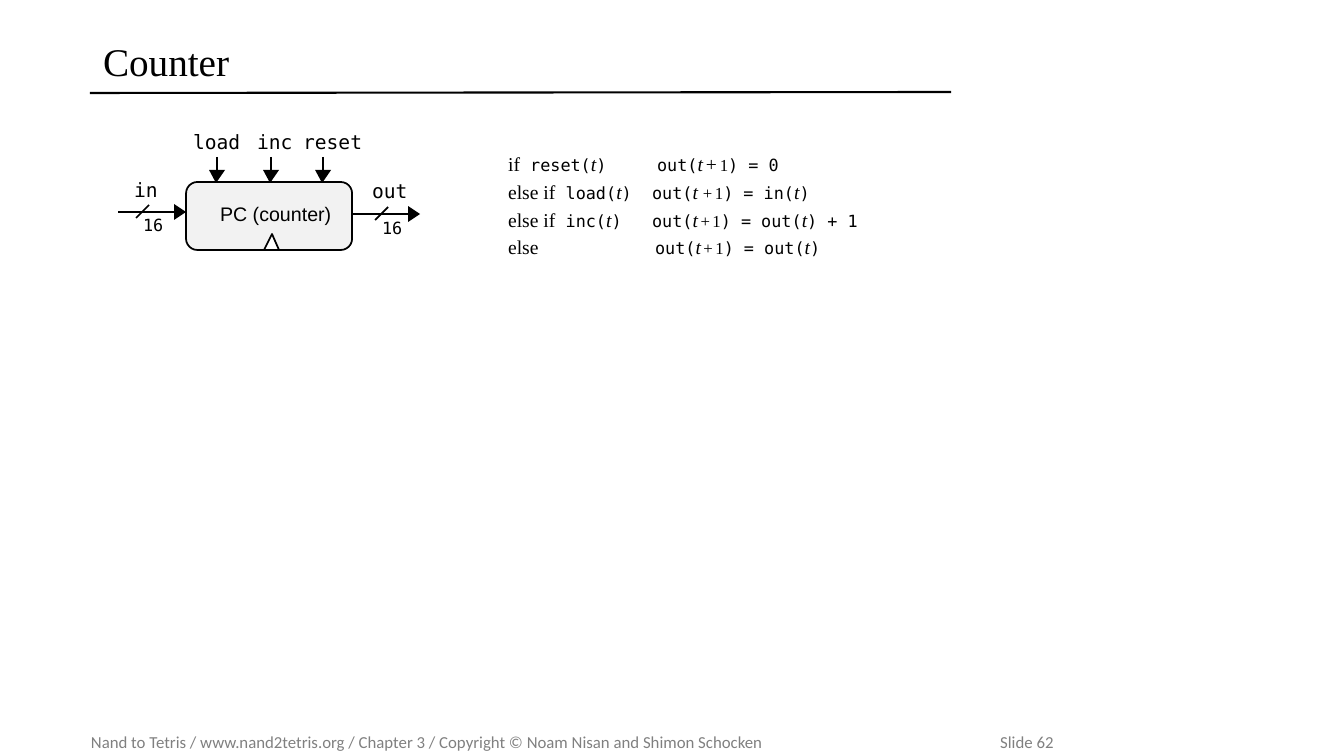
from pptx import Presentation
from pptx.dml.color import RGBColor
from pptx.enum.shapes import MSO_CONNECTOR, MSO_SHAPE
from pptx.enum.text import MSO_ANCHOR
from pptx.oxml.ns import qn
from pptx.util import Inches, Pt
from lxml import etree

LINE = MSO_CONNECTOR.STRAIGHT
ROUND = MSO_SHAPE.ROUNDED_RECTANGLE
TOP, MIDDLE = MSO_ANCHOR.TOP, MSO_ANCHOR.MIDDLE
SCALE = 914400 / 100.8
COLORS = {"ink": "000000", "chip": "F2F2F2", "paper": "FFFFFF", "foot": "808080"}
SERIF, MONO = "Times New Roman", "DejaVu Sans Mono"
# Each style: font, size, italic, colour
STYLES = {
    "title": (SERIF, 28, False, "ink"),
    "foot": ("Calibri", 12, False, "foot"),
    "chip": ("Arial", 14, False, "ink"),
    "label": (MONO, 14, False, "ink"),
    "code": (MONO, 12, False, "ink"),
    "word": (SERIF, 14, False, "ink"),
    "time": (SERIF, 14, True, "ink"),
    "num": (SERIF, 12, False, "ink"),
    "gap": (SERIF, 7, False, "ink"),
    "wide": (SERIF, 8, False, "ink"),
}


def px(n):
    return round(n * SCALE)


def color(name):
    return RGBColor.from_string(COLORS[name])


class Board:
    def __init__(self, slide):
        self.shapes = slide.shapes

    def text(self, x, y, w, h, rows, inset=(0, 0), anchor=TOP, wrap=True,
             tabs=(), before=0, spacing=None):
        """Each row is a list of (style, text) runs; tabs holds one stop per row."""
        frame = self.shapes.add_textbox(px(x), px(y), px(w), px(h)).text_frame
        frame.word_wrap, frame.vertical_anchor = wrap, anchor
        frame.margin_left = frame.margin_right = px(inset[0])
        frame.margin_top = frame.margin_bottom = px(inset[1])
        for i, runs in enumerate(rows):
            para = frame.paragraphs[0] if i == 0 else frame.add_paragraph()
            if tabs:
                stops = etree.SubElement(para._p.get_or_add_pPr(), qn("a:tabLst"))
                etree.SubElement(stops, qn("a:tab"), pos=str(px(tabs[i])), algn="l")
            if i and before:
                para.space_before = Pt(before)
            if spacing:
                para.line_spacing = spacing
            for style, words in runs:
                run = para.add_run()
                run.text = words
                face, size, slant, ink = STYLES[style]
                run.font.name, run.font.size = face, Pt(size)
                run.font.italic = slant
                run.font.color.rgb = color(ink)

    def line(self, x1, y1, x2, y2, width=1.25):
        wire = self.shapes.add_connector(LINE, px(x1), px(y1), px(x2), px(y2))
        wire.line.color.rgb = color("ink")
        wire.line.width = Pt(width)
        etree.SubElement(wire._element.spPr, qn("a:effectLst"))

    def paint(self, shape, fill, edge=True):
        shape.shadow.inherit = False
        shape.fill.solid()
        shape.fill.fore_color.rgb = color(fill)
        if edge:
            shape.line.color.rgb = color("ink")
            shape.line.width = Pt(1.25)
        else:
            shape.line.fill.background()

    def block(self, x, y, w, h, fill):
        self.paint(self.shapes.add_shape(ROUND, px(x), px(y), px(w), px(h)), fill)

    def wedge(self, points, fill, edge=True):
        spots = [(px(x), px(y)) for x, y in points]
        pen = self.shapes.build_freeform(*spots[0], scale=1.0)
        pen.add_line_segments(spots[1:], close=True)
        self.paint(pen.convert_to_shape(), fill, edge)

    def right(self, x, y, tip):
        base = tip - 12
        self.line(x, y, base, y)
        self.wedge([(base, y - 8), (tip, y), (base, y + 8)], "ink", False)

    def down(self, x, y, tip):
        base = tip - 13
        self.line(x, y, x, base)
        self.wedge([(x - 8, base), (x + 8, base), (x - 1, tip)], "ink", False)


def main():
    deck = Presentation()
    deck.slide_width, deck.slide_height = Inches(13.33), Inches(7.5)
    board = Board(deck.slides.add_slide(deck.slide_layouts[6]))

    # Footer, title and rule
    board.text(91, 727, 1235, 30, [[
        ("foot", "Nand to Tetris / www.nand2tetris.org / Chapter 3 / "
                 "Copyright © Noam Nisan and Shimon Schocken"),
        ("foot", "\tSlide 62")]], (0, 5), MIDDLE, tabs=[909])
    board.line(90, 93, 951, 92, 1.5)
    board.text(93, 32, 860, 64, [[("title", "Counter")]], (10, 5), MIDDLE,
               spacing=0.9)

    # Counter rules
    step = [("time", "t"), ("gap", " "), ("num", "+"), ("gap", " "), ("num", "1")]
    first = [("time", "t"), ("wide", " "), ("word", "+"), ("wide", " "), ("num", "1")]
    second = [("time", "t "), ("num", "+"), ("gap", " "), ("num", "1")]
    now = ("time", "t")
    out = ("code", "\tout(")
    end = ("code", ")")
    rules = [
        [("word", "if"), ("code", " reset("), now, end, out, *first,
         ("code", ") = 0")],
        [("word", "else if"), ("code", " load("), now, end, out, *second,
         ("code", ") = in("), now, end],
        [("word", "else if"), ("code", " inc("), now, end, out, *step,
         ("code", ") = out("), now, ("code", ") + 1")],
        [("word", "else"), out, *step, ("code", ") = out("), now, end],
    ]
    board.text(498, 147, 616, 142, rules, (10, 5), tabs=[149, 144, 144, 147],
               before=3)

    # Chip with its clock mark
    board.block(186, 182, 166, 68, "chip")
    board.wedge([(279, 250), (264, 250), (272, 234)], "paper")
    board.text(220, 202, 112, 24, [[("chip", "PC (counter)")]], wrap=False)

    # Data buses: arrow, slash, name and width
    for x, y, tip, slash, name, name_x, name_y, bits_x, bits_y in (
            (118, 212, 186, 136, "in", 134, 178, 143, 215),
            (351, 214, 420, 375, "out", 372, 179, 382, 218)):
        board.right(x, y, tip)
        board.line(slash, y + 6, slash + 13, y - 7)
        board.text(name_x, name_y, 40, 24, [[("label", name)]])
        board.text(bits_x, bits_y, 29, 20, [[("code", "16")]])

    # Control bits
    for name, x, left in (("load", 217, 193), ("inc", 271, 257), ("reset", 323, 303)):
        board.text(left, 130, 64, 24, [[("label", name)]])
        board.down(x, 157, 183)

    deck.save("out.pptx")


if __name__ == "__main__":
    main()
